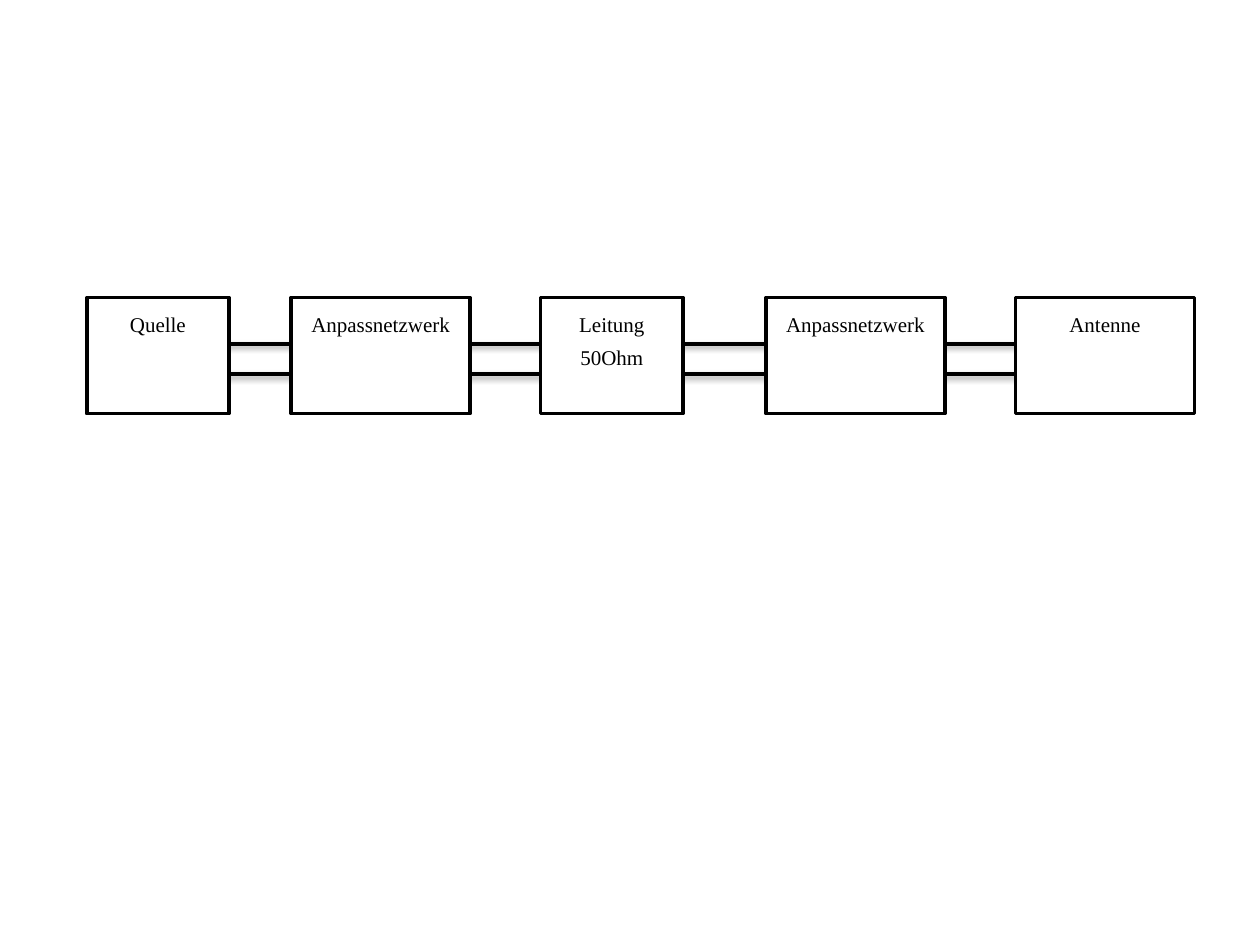
from pptx import Presentation
from pptx.dml.color import RGBColor
from pptx.enum.shapes import MSO_CONNECTOR, MSO_SHAPE
from pptx.enum.text import MSO_ANCHOR, PP_ALIGN
from pptx.util import Cm, Pt

COLORS = {"ink": "000000", "paper": "FFFFFF"}
FONT = "Times New Roman"
SMALL, WIDE = 2.87, 3.61  # block widths in cm

# Label, left edge within the chain, width
BLOCKS = [
    ("Quelle", 0, SMALL),
    ("Anpassnetzwerk", 4.12, WIDE),
    ("Leitung 50Ohm", 9.15, SMALL),
    ("Anpassnetzwerk", 13.69, WIDE),
    ("Antenne", 18.72, WIDE),
]


def color(name):
    return RGBColor.from_string(COLORS[name])


def outline(shape):
    shape.line.color.rgb = color("ink")
    shape.line.width = Pt(2)


def add_wire(group, left, right, y):
    # The theme's soft shadow is kept on the wires
    wire = group.shapes.add_connector(
        MSO_CONNECTOR.STRAIGHT, Cm(left), Cm(y), Cm(right), Cm(y))
    outline(wire)


def add_block(group, label, left, top, width, height):
    block = group.shapes.add_shape(
        MSO_SHAPE.RECTANGLE, Cm(left), Cm(top), Cm(width), Cm(height))
    block.shadow.inherit = False
    block.fill.solid()
    block.fill.fore_color.rgb = color("paper")
    outline(block)

    # Label
    frame = block.text_frame
    frame.word_wrap = True
    frame.vertical_anchor = MSO_ANCHOR.TOP
    para = frame.paragraphs[0]
    para.alignment = PP_ALIGN.CENTER
    para.line_spacing = 1.3
    para.space_before = Pt(6)
    run = para.add_run()
    run.text = label
    run.font.name = FONT
    run.font.size = Pt(12)
    run.font.color.rgb = color("ink")


def add_chain(slide, left, top, width, height):
    group = slide.shapes.add_group_shape()
    # Two wires run behind all blocks
    for drop in (1.54, 0.93):
        add_wire(group, left + 2.75, left + width - 3.15, top + drop)
    # Blocks
    for label, shift, span in BLOCKS:
        add_block(group, label, left + shift, top, span, height)


def main():
    deck = Presentation()
    deck.slide_width, deck.slide_height = Cm(25.4), Cm(19.05)
    slide = deck.slides.add_slide(deck.slide_layouts[6])
    add_chain(slide, 1.75, 6, 22.33, 2.34)
    deck.save("out.pptx")


if __name__ == "__main__":
    main()
